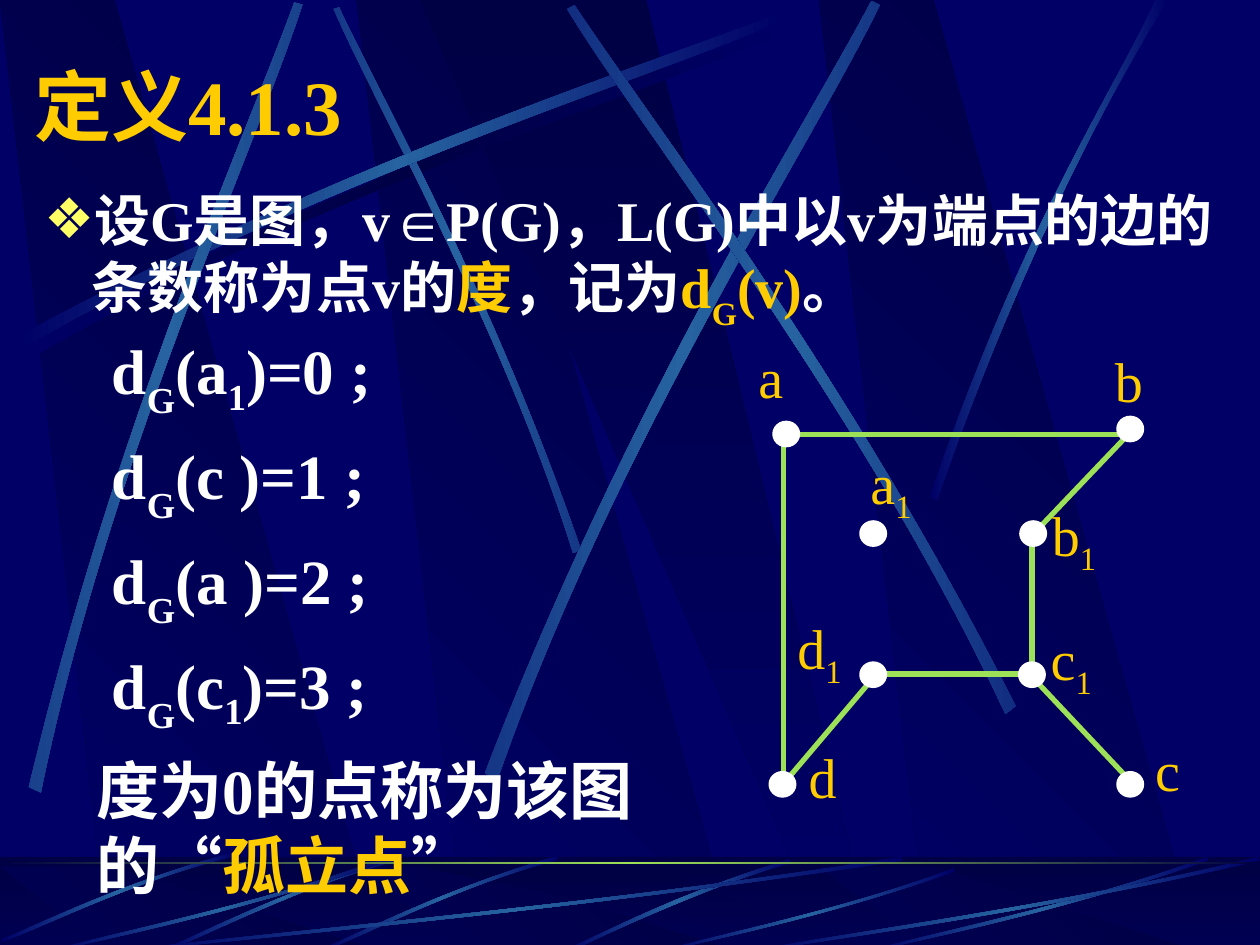
import copy
from lxml import etree
from pptx import Presentation
from pptx import util as u
from pptx.dml.color import RGBColor
from pptx.enum import shapes, text
from pptx.oxml.ns import qn

NAVY, DEEP, BLUE, GREEN = "000066", "000044", "2663A0", "9CE157"
GOLD, WHITE, YELLOW = "FFCC00", "FFFFFF", "FFFF66"
SERIF = "Times New Roman"

BAND = [(0.86, 1), (3.02, 1), (0.91, 0), (0, 0)]
WIDE_BAND = [(0, 0), (3.25, 1), (3.61, 1), (1.8, 0)]
BANDS = [(2.83, BAND, 135), (0, BAND, 135), (6.5, BAND, 135), (3.33, WIDE_BAND, 90)]

STREAK = [(0.14, 2.67), (2.78, 1.25), (5.18, 0.51), (6.2, 0.1),
          (6.23, 0.16), (5.22, 0.61), (2.48, 1.43), (0.17, 2.77)]
RAY = [(3.08, 6.83), (1.93, 7.23), (0.88, 7.44), (0.43, 7.55),
       (0.42, 7.54), (0.86, 7.41), (2.06, 7.18), (3.07, 6.8)]
BLADE = [(7.38, 3.94), (8.14, 1.73), (8.88, 0.66), (9.17, 0),
         (9.27, 0), (8.36, 1.45), (7.69, 3.22), (7.44, 3.97)]
SLIVER = [(6.27, 6.82), (5.37, 7.09), (4.77, 7.42), (4.48, 7.54),
          (4.53, 7.55), (4.9, 7.37), (5.71, 7), (6.28, 6.85)]

TOP_STREAKS = [
    (STREAK, (0.2, 0.18, 6.08, 2.67), 0, False, DEEP),
    (STREAK, (1.41, 1.35, 4.42, 1.75), 45, True, BLUE),
    (STREAK, (0.14, 0.1, 6.08, 2.67), 0, False, BLUE),
    (STREAK, (-1.71, 1.82, 6.08, 2.67), 311.7, False, BLUE),
    (STREAK, (2.31, 1.6, 6.24, 3.01), 321.6, False, BLUE),
    (STREAK, (3.23, 1.52, 6.08, 2.67), 34.8, True, BLUE),
    (BLADE, (7.38, 0, 1.89, 3.97), 0, False, BLUE),
]
FLOOR_STREAKS = [
    (SLIVER, (4.48, 6.82, 1.8, 0.73), 0, False, BLUE),
    (STREAK, (2.58, 6.76, 1.84, 0.83), 314.9, True, BLUE),
    (STREAK, (1.33, 6.76, 1.84, 0.83), 314.9, True, BLUE),
    (STREAK, (0.04, 6.7, 1.8, 0.85), 314.9, True, BLUE),
    (RAY, (1, 6.8, 6.17, 0.75), 0, False, BLUE),
    (RAY, (0.42, 6.8, 2.67, 0.75), 0, False, BLUE),
    (RAY, (5.27, 6.89, 2.31, 0.66), 0, False, BLUE),
    (RAY, (6.92, 6.8, 2.67, 0.75), 0, False, BLUE),
    (RAY, (6, 6.8, 4, 0.75), 0, False, BLUE),
]

TITLE = [("定义4.1.3", GOLD)]
DEFINITION = [("设G是图，v",), ("∈", WHITE, 0, "Arial"),
              ("P(G)，L(G)中以v为端点的边的条数称为点v的",), ("度", GOLD), ("，记为",),
              ("d", GOLD), ("G", GOLD, -30), ("(v)", GOLD), ("。",)]
DEGREES = [("a", "1", 0), ("c ", "", 1), ("a ", "", 2), ("c", "1", 3)]
ISOLATED = [("度为0的点称为该图的“",), ("孤立点", GOLD), ("”",)]

NODES = {
    "a1": (6.84, 4.15, 6.81, 3.51), "d1": (6.84, 5.27, 6.23, 4.82),
    "c1": (8.1, 5.27, 8.24, 4.91), "b1": (8.11, 4.15, 8.25, 3.92),
    "c": (8.88, 6.14, 9.07, 5.79), "b": (8.88, 3.32, 8.75, 2.7),
    "a": (6.15, 3.36, 5.92, 2.67), "d": (6.12, 6.14, 6.32, 5.84),
}
EDGES = [(6.99, 5.31, 6.21, 6.23), (8.19, 4.33, 8.19, 5.28), (7.03, 5.35, 8.19, 5.35),
         (6.34, 3.45, 8.89, 3.45), (6.22, 3.49, 6.22, 6.23), (8.19, 4.25, 9, 3.4),
         (8.19, 5.37, 9, 6.23)]


def rgb(c):
    return RGBColor.from_string(c)


def place(sp, *box):
    sp.left, sp.top, sp.width, sp.height = map(u.Inches, box)


def gradient(sp, colours, angle):
    sp.shadow.inherit = False
    sp.line.fill.background()
    sp.fill.gradient()
    sp.fill.gradient_angle = (360 - angle) % 360
    grad = sp._element.spPr.find(qn("a:gradFill"))
    grad.set("rotWithShape", "0")
    gs = grad.find(qn("a:gsLst"))
    for _ in colours[2:]:
        gs.append(copy.deepcopy(gs[0]))
    for i, (stop, c) in enumerate(zip(sp.fill.gradient_stops, colours)):
        stop.color.rgb = rgb(c)
        stop.position = i / (len(colours) - 1)


def outline(pts):
    pts = [(u.Inches(x), u.Inches(y)) for x, y in pts]
    fb = s.shapes.build_freeform(*pts[0])
    fb.add_line_segments(pts[1:])
    return fb.convert_to_shape()


def curve(sp):
    lines = list(sp._element.spPr.iter(qn("a:lnTo")))
    for part in (lines[:3], lines[4:7]):
        bez = etree.Element(qn("a:cubicBezTo"))
        part[0].addprevious(bez)
        for ln in part:
            bez.append(ln[0])
            ln.getparent().remove(ln)


def bands(top, height):
    for left, form, angle in BANDS:
        sp = outline([(left + x, top + y * height) for x, y in form])
        gradient(sp, [DEEP, NAVY], angle)


def streaks(rows):
    for form, (left, top, w, h), rot, flip, colour in rows:
        xs, ys = zip(*form)
        x0, y0 = min(xs), min(ys)
        kx, ky = w / (max(xs) - x0), h / (max(ys) - y0)
        sp = outline([(left + (w - (x - x0) * kx if flip else (x - x0) * kx),
                       top + (y - y0) * ky) for x, y in form])
        curve(sp)
        gradient(sp, [NAVY, colour, NAVY], 180)
        sp.rotation = rot


def rect(*box):
    return s.shapes.add_shape(shapes.MSO_SHAPE.RECTANGLE, *map(u.Inches, box))


def write(p, runs, size, bold=True):
    for txt, colour, base, font in (r + (WHITE, 0, SERIF)[len(r) - 1:] for r in runs):
        r = p.add_run()
        r.text = txt
        r.font.size, r.font.bold, r.font.name = u.Pt(size), bold, font
        r.font.color.rgb = rgb(colour)
        if base:
            r._r.get_or_add_rPr().set("baseline", str(base * 1000))


def indent(p, left, first=0):
    pPr = p._p.get_or_add_pPr()
    pPr.set("marL", str(u.Inches(left)))
    pPr.set("indent", str(u.Inches(first)))
    return pPr


prs = Presentation()
prs.slide_width, prs.slide_height = u.Inches(10), u.Inches(7.5)
s = prs.slides.add_slide(prs.slide_layouts[1])
s.background.fill.solid()
s.background.fill.fore_color.rgb = rgb(NAVY)

bands(0, 7.52)
streaks(TOP_STREAKS)
gradient(rect(0, 6.8, 10, 0.75), [DEEP, NAVY], 90)
bands(6.88, 0.67)
veil = rect(0, 6.8, 10, 0.75)
veil.shadow.inherit = False
veil.line.fill.background()
veil.fill.solid()
veil.fill.fore_color.rgb = rgb(DEEP)
alpha = etree.SubElement(veil._element.spPr.find(".//" + qn("a:srgbClr")), qn("a:alpha"))
alpha.set("val", "50000")
streaks(FLOOR_STREAKS)
gradient(rect(0, 6.84, 10, 0.02), [DEEP, GREEN, DEEP], 180)

title, body = s.shapes.title, s.placeholders[1]
place(title, 0.17, 0.41, 8.5, 0.84)
place(body, 0.25, 1.42, 9.58, 1.5)
for sp, runs, size, anchor in ((title, TITLE, 44, text.MSO_ANCHOR.MIDDLE),
                               (body, DEFINITION, 32, text.MSO_ANCHOR.TOP)):
    s.shapes._spTree.append(sp._element)
    tf = sp.text_frame
    tf.auto_size, tf.vertical_anchor = text.MSO_AUTO_SIZE.NONE, anchor
    p = tf.paragraphs[0]
    p.alignment, p.space_before = text.PP_ALIGN.LEFT, u.Pt(0)
    write(p, runs, size)
pPr = indent(body.text_frame.paragraphs[0], 0.38, -0.38)
clr = etree.SubElement(pPr, qn("a:buClr"))
etree.SubElement(clr, qn("a:srgbClr")).set("val", YELLOW)
etree.SubElement(pPr, qn("a:buChar")).set("char", "❖")

for edge in EDGES:
    ln = s.shapes.add_connector(shapes.MSO_CONNECTOR.STRAIGHT, *map(u.Inches, edge))
    ln.line.color.rgb, ln.line.width = rgb(GREEN), u.Pt(3)
    etree.SubElement(ln._element.spPr, qn("a:effectLst"))

for name, (x, y, left, top) in NODES.items():
    dot = s.shapes.add_shape(shapes.MSO_SHAPE.OVAL, *map(u.Inches, (x, y, 0.18, 0.17)))
    dot.shadow.inherit = False
    dot.fill.solid()
    dot.fill.fore_color.rgb = dot.line.color.rgb = rgb(WHITE)
    dot.line.width = u.Pt(3)
    w, h = (0.55, 0.71) if name[1:] else (0.42, 0.64)
    tb = s.shapes.add_textbox(*map(u.Inches, (left, top, w, h)))
    label = [(name[0], GOLD)] + [(n, GOLD, -25) for n in name[1:]]
    write(tb.text_frame.paragraphs[0], label, 32, False)

tf = s.shapes.add_textbox(*map(u.Inches, (0.67, 2.58, 4.58, 4.25))).text_frame
tf.word_wrap = True
for i, (node, sub, degree) in enumerate(DEGREES):
    p = tf.add_paragraph() if i else tf.paragraphs[0]
    p.space_before = u.Pt(9 if i else 0)
    indent(p, 0.12)
    runs = [("d",), ("G", WHITE, -30), ("(" + node,), (sub, WHITE, -25), (f")={degree} ;",)]
    write(p, [r for r in runs if r[0]], 36)
p = tf.add_paragraph()
p.space_before = u.Pt(9)
write(p, ISOLATED, 36)

prs.save("out.pptx")
